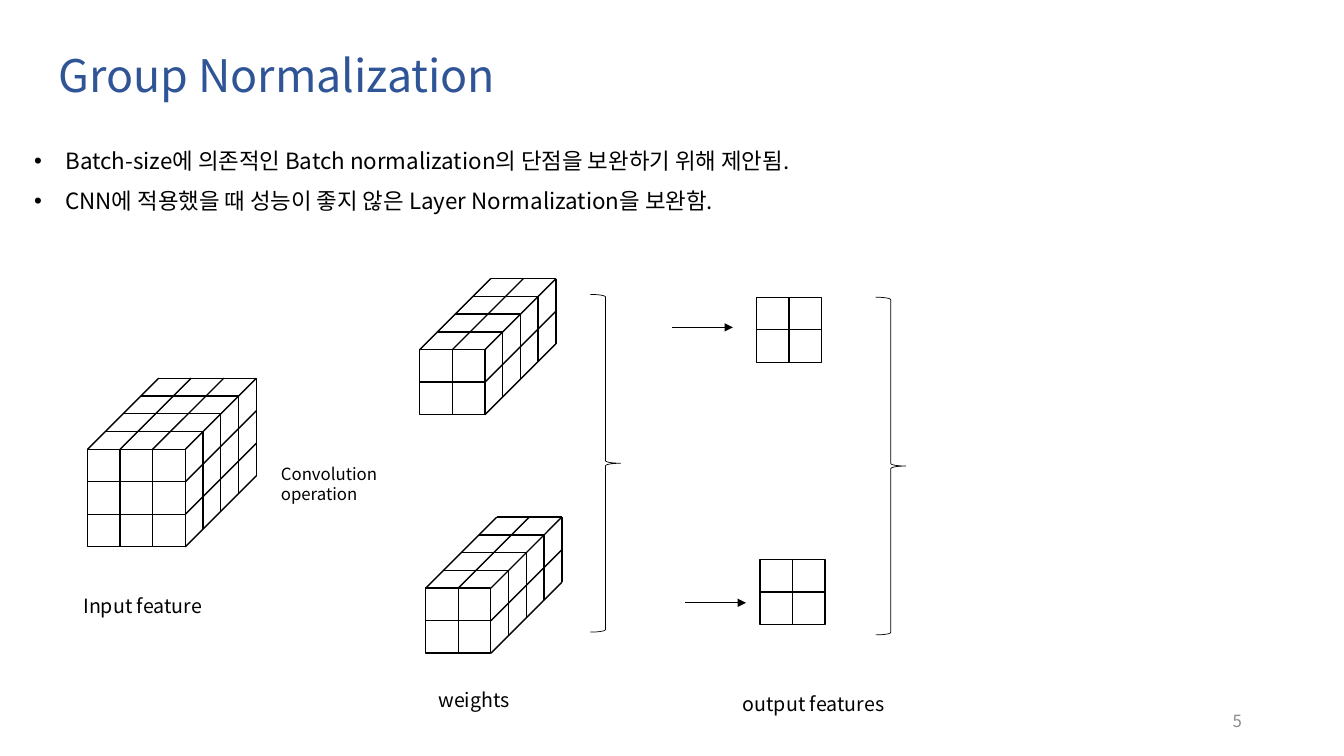
from lxml import etree
from pptx import Presentation
from pptx.dml.color import RGBColor
from pptx.enum.shapes import MSO_CONNECTOR, MSO_SHAPE
from pptx.enum.text import MSO_ANCHOR, MSO_AUTO_SIZE, PP_ALIGN
from pptx.oxml.ns import qn
from pptx.util import Cm, Pt

BLACK = RGBColor(0x00, 0x00, 0x00)
WHITE = RGBColor(0xFF, 0xFF, 0xFF)
TITLE_BLUE = RGBColor(0x2F, 0x55, 0x97)
NUMBER_GRAY = RGBColor(0x8C, 0x8C, 0x8C)

STRAIGHT = MSO_CONNECTOR.STRAIGHT
RECTANGLE = MSO_SHAPE.RECTANGLE
RIGHT_BRACE = MSO_SHAPE.RIGHT_BRACE
RIGHT, LEFT = PP_ALIGN.RIGHT, PP_ALIGN.LEFT
TOP, MIDDLE = MSO_ANCHOR.TOP, MSO_ANCHOR.MIDDLE
GROW, FIXED = MSO_AUTO_SIZE.SHAPE_TO_FIT_TEXT, MSO_AUTO_SIZE.NONE

FONT = "Noto Sans CJK KR"
CELL = 0.82
DEPTH = 1.79
LAYERS = 4


class FeatureSlide:
    """Draws on one slide; all lengths are in centimetres."""

    def __init__(self, slide):
        self.slide = slide
        self.font_name = FONT
        self.line_color = BLACK

    def text(self, box, lines, size, color=BLACK, wrap=True, bullet=False,
             align=LEFT, anchor=TOP, auto_size=GROW):
        shape = self.slide.shapes.add_textbox(*map(Cm, box))
        frame = shape.text_frame
        frame_format = {"word_wrap": wrap, "auto_size": auto_size,
                        "vertical_anchor": anchor}
        for name, value in frame_format.items():
            setattr(frame, name, value)
        for index, line in enumerate(lines):
            paragraph = frame.add_paragraph() if index else frame.paragraphs[0]
            paragraph.alignment = align
            if bullet:
                paragraph.line_spacing = 1.5
                self.add_bullet(paragraph)
            run = paragraph.add_run()
            run.text = line
            for name, value in {"name": self.font_name, "size": Pt(size)}.items():
                setattr(run.font, name, value)
            run.font.color.rgb = color
            properties = run._r.get_or_add_rPr()
            etree.SubElement(properties, qn("a:ea"), typeface=self.font_name)

    def add_bullet(self, paragraph):
        properties = paragraph._p.get_or_add_pPr()
        properties.set("marL", str(Cm(0.79)))
        properties.set("indent", str(Cm(-0.79)))
        etree.SubElement(properties, qn("a:buFont"), typeface="Arial")
        etree.SubElement(properties, qn("a:buChar"), char="•")

    def line(self, start, end, width=1, arrow=False):
        connector = self.slide.shapes.add_connector(
            STRAIGHT, *map(Cm, (*start, *end)))
        connector.line.color.rgb = self.line_color
        connector.line.width = Pt(width)
        if arrow:
            etree.SubElement(connector.line._get_or_add_ln(),
                             qn("a:tailEnd"), type="triangle")
        etree.SubElement(connector._element.spPr, qn("a:effectLst"))

    def shape(self, kind, box, width, fill=None):
        shape = self.slide.shapes.add_shape(kind, *map(Cm, box))
        shape.shadow.inherit = False
        if fill is None:
            shape.fill.background()
        else:
            shape.fill.solid()
            shape.fill.fore_color.rgb = fill
        shape.line.color.rgb = self.line_color
        shape.line.width = Pt(width)

    def grid(self, left, top, count):
        for row in range(count):
            for column in range(count):
                box = (left + column * CELL, top + row * CELL, CELL, CELL)
                self.shape(RECTANGLE, box, 1, WHITE)

    def block(self, left, top, count):
        """Square grid extended backwards into a stack of layers."""
        self.grid(left, top, count)
        side = count * CELL
        right = left + side
        top_points = [(left + i * CELL, top) for i in range(count + 1)]
        side_points = [(right, top + i * CELL) for i in range(1, count + 1)]
        for x, y in top_points + side_points:
            self.line((x, y), (x + DEPTH, y - DEPTH))
        for layer in range(1, LAYERS + 1):
            shift = DEPTH * layer / LAYERS
            corner = (right + shift, top - shift)
            self.line((left + shift, top - shift), corner)
            self.line(corner, (corner[0], corner[1] + side))

    def brace(self, left, top):
        self.shape(RIGHT_BRACE, (left, top, 0.76, 8.51), 0.5)

    def arrow(self, left, top):
        self.line((left, top), (left + 1.53, top), 0.5, arrow=True)

    def label(self, left, top, caption):
        self.text((left, top, 4.47, 0.86), [caption], 14)


def main():
    presentation = Presentation()
    presentation.slide_width = Cm(33.87)
    presentation.slide_height = Cm(19.05)
    page = FeatureSlide(
        presentation.slides.add_slide(presentation.slide_layouts[6]))

    page.text((1.22, 1.07, 21.06, 1.63), ["Group Normalization"], 32, TITLE_BLUE)
    page.text((0.61, 3.25, 20.68, 3.2), [
        "Batch-size에 의존적인 Batch normalization의 단점을 보완하기 위해 제안됨.",
        "CNN에 적용했을 때 성능이 좋지 않은 Layer Normalization을 보완함.",
    ], 16, wrap=False, bullet=True)

    for left, top, count in ((2.21, 11.32, 3), (10.58, 8.81, 2), (10.73, 14.82, 2)):
        page.block(left, top, count)
    page.text((6.83, 11.56, 3.02, 1.27), ["Convolution", "operation"], 12, wrap=False)

    for left, top in ((19.07, 7.49), (19.15, 14.1)):
        page.grid(left, top, 2)
    for left, top in ((14.88, 7.42), (22.07, 7.49)):
        page.brace(left, top)
    for left, top in ((16.94, 8.25), (17.27, 15.19)):
        page.arrow(left, top)

    page.label(1.85, 14.83, "Input feature")
    page.label(10.8, 17.2, "weights")
    page.label(18.47, 17.32, "output features")
    page.text((23.93, 17.65, 7.62, 1.02), ["5"], 12, NUMBER_GRAY,
              align=RIGHT, anchor=MIDDLE, auto_size=FIXED)

    presentation.save("out.pptx")


if __name__ == "__main__":
    main()
